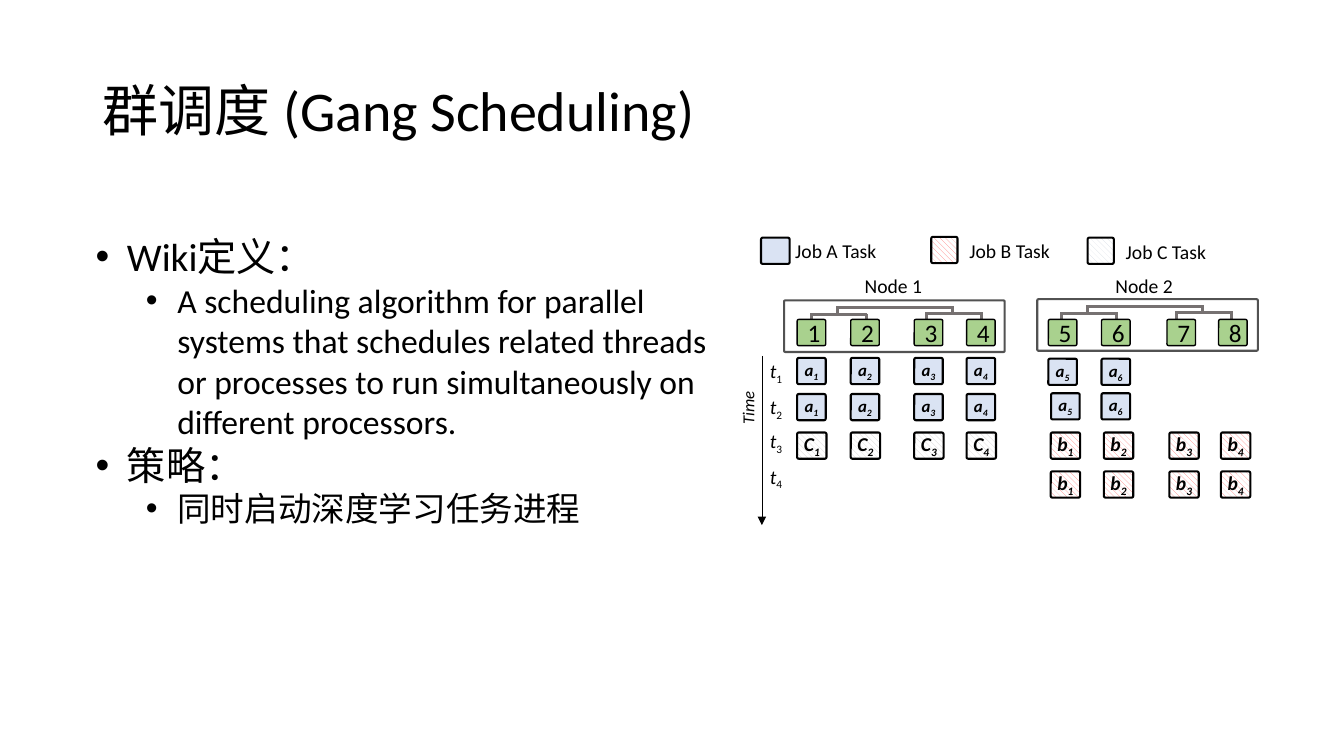
from dataclasses import dataclass

from lxml import etree
from pptx import Presentation
from pptx.dml.color import RGBColor
from pptx.enum.dml import MSO_PATTERN
from pptx.enum.shapes import MSO_CONNECTOR, MSO_SHAPE
from pptx.enum.text import MSO_ANCHOR, PP_ALIGN
from pptx.oxml.ns import qn
from pptx.util import Cm, Pt

ROUNDED = MSO_SHAPE.ROUNDED_RECTANGLE
STRAIGHT = MSO_CONNECTOR.STRAIGHT
STRIPES = MSO_PATTERN.WIDE_DOWNWARD_DIAGONAL
TOP, MIDDLE = MSO_ANCHOR.TOP, MSO_ANCHOR.MIDDLE
LEFT, CENTER = PP_ALIGN.LEFT, PP_ALIGN.CENTER


@dataclass(frozen=True)
class Theme:
    font: str = "Calibri"
    ink: RGBColor = RGBColor.from_string("000000")
    paper: RGBColor = RGBColor.from_string("FFFFFF")
    frame: RGBColor = RGBColor.from_string("525252")
    tree: RGBColor = RGBColor.from_string("767171")
    cpu: RGBColor = RGBColor.from_string("A9D18E")
    job_a: RGBColor = RGBColor.from_string("DAE3F3")
    job_b: RGBColor = RGBColor.from_string("FF8181")
    job_c: RGBColor = RGBColor.from_string("D0CECE")
    key_c: RGBColor = RGBColor.from_string("D6DCE5")
    title: int = 40
    topic: int = 28
    detail: int = 24
    number: int = 18
    label: int = 14
    small: int = 12


theme = Theme()


def write(box, text, size, sub="", bold=False, italic=False, sub_italic=False,
          align=LEFT, anchor=TOP, wrap=True, side=0.25, level=None, spacing=None):
    """Add a paragraph with an optional subscript; a level makes it a bullet."""
    frame = box.text_frame
    frame.word_wrap = wrap
    frame.vertical_anchor = anchor
    frame.margin_left = frame.margin_right = Cm(side)
    para = frame.add_paragraph() if frame.text else frame.paragraphs[0]
    para.alignment = align
    if spacing:
        para.line_spacing = spacing
    if level is not None:
        para.level = level
        props = para._p.get_or_add_pPr()
        props.set("marL", str(Cm(0.79 + 1.27 * level)))
        props.set("indent", str(Cm(-0.79)))
        etree.SubElement(props, qn("a:buFont")).set("typeface", "Arial")
        etree.SubElement(props, qn("a:buChar")).set("char", "•")
    for part, slanted in ((text, italic), (sub, sub_italic)):
        if not part:
            continue
        span = para.add_run()
        span.text = part
        span.font.name = theme.font
        span.font.size = Pt(size)
        span.font.bold = bold
        span.font.italic = slanted
        span.font.color.rgb = theme.ink
        if part is sub:
            span._r.get_or_add_rPr().set("baseline", "-25000")


deck = Presentation()
deck.slide_width, deck.slide_height = Cm(33.87), Cm(19.05)
page = deck.slides.add_slide(deck.slide_layouts[6])

# Title and bullets
title = page.shapes.add_textbox(Cm(2.34), Cm(1.02), Cm(29.21), Cm(3.68))
write(title, "群调度 (Gang Scheduling)", theme.title, anchor=MIDDLE, spacing=0.9)

body = page.shapes.add_textbox(Cm(2.16), Cm(5.74), Cm(16.23), Cm(9.32))
for level, text in (
    (0, "Wiki定义："),
    (1, "A scheduling algorithm for parallel systems that schedules related "
        "threads or processes to run simultaneously on different processors."),
    (0, "策略："),
    (1, "同时启动深度学习任务进程"),
):
    write(body, text, theme.detail if level else theme.topic, level=level)

# Node frames, each with the tree that joins its processors, and the time axis
lines = []
for frame_x, frame_y, tree_x, tree_y in ((19.76, 7.57, 20.42, 7.75),
                                         (26.14, 7.54, 26.72, 7.72)):
    frame = page.shapes.add_shape(ROUNDED, Cm(frame_x), Cm(frame_y), Cm(5.56), Cm(1.3))
    frame.adjustments[0] = 0.025
    frame.shadow.inherit = False
    frame.fill.background()
    frame.line.color.rgb = theme.frame
    frame.line.width = Pt(1.5)

    tree = page.shapes.add_group_shape()
    branches = [(tree_x + 0.66, tree_y, tree_x + 3.63, tree_y)]
    for x, y in ((tree_x, tree_y), (tree_x + 2.9, tree_y - 0.03)):
        branches += [
            (x + 0.69, y, x + 0.69, y + 0.18),
            (x, y + 0.18, x + 1.44, y + 0.18),
            (x + 0.02, y + 0.15, x + 0.02, y + 0.36),
            (x + 1.42, y + 0.15, x + 1.42, y + 0.36),
        ]
    lines += [(tree, ends, theme.tree, 2.25, False) for ends in branches]
lines.append((page, (19.2, 8.97, 19.2, 13.23), theme.ink, 0.5, True))

for owner, ends, color, width, arrow in lines:
    line = owner.shapes.add_connector(STRAIGHT, *(Cm(end) for end in ends))
    line.line.color.rgb = color
    line.line.width = Pt(width)
    if arrow:
        etree.SubElement(line.line._get_or_add_ln(), qn("a:tailEnd")).set("type", "triangle")
    etree.SubElement(line._element.spPr, qn("a:effectLst"))

# Legend, node names and time labels
for x, y, width, text, sub, wrap in (
    (19.79, 5.89, 5.16, "Job A Task", "", True),
    (24.18, 5.89, 2.57, "Job B Task", "", True),
    (28.12, 5.92, 2.92, "Job C Task", "", True),
    (21.54, 6.78, 1.98, "Node 1", "", False),
    (27.86, 6.78, 1.98, "Node 2", "", False),
    (19.15, 8.92, 0.86, "t", "1", False),
    (19.15, 9.83, 0.86, "t", "2", False),
    (19.15, 10.69, 0.86, "t", "3", False),
    (19.15, 11.58, 0.86, "t", "4", False),
):
    label = page.shapes.add_textbox(Cm(x), Cm(y), Cm(width), Cm(0.86))
    write(label, text, theme.label, sub=sub, italic=bool(sub), wrap=wrap)

time = page.shapes.add_textbox(Cm(18.16), Cm(9.88), Cm(1.37), Cm(0.76))
time.rotation = 270
write(time, "Time", theme.small, italic=True)

# Tiles: legend keys, processors, then tasks by time step
node_1 = (20.09, 21.44, 23.04, 24.36)
node_2 = (26.42, 27.76, 29.41, 30.71)
shifted = [x + 0.06 for x in node_2]
tiles = [
    (19.18, 5.99, 0.72, theme.job_a, "", ""),
    (23.47, 5.97, 0.66, theme.job_b, "", ""),
    (27.41, 5.99, 0.66, theme.key_c, "", ""),
]
for columns, y, width, color, letter, first in (
    (node_1, 8.05, 0.72, theme.cpu, "", 1),
    (node_2, 8.05, 0.72, theme.cpu, "", 5),
    (node_1, 9.02, 0.72, theme.job_a, "a", 1),
    (node_2[:2], 9.04, 0.72, theme.job_a, "a", 5),
    (node_1, 9.93, 0.72, theme.job_a, "a", 1),
    ((26.49, 27.76), 9.91, 0.72, theme.job_a, "a", 5),
    (node_1, 10.9, 0.74, theme.job_c, "C", 1),
    (shifted, 10.9, 0.74, theme.job_b, "b", 1),
    (shifted, 11.88, 0.74, theme.job_b, "b", 1),
):
    for number, x in enumerate(columns, first):
        tiles.append((x, y, width, color, letter, str(number)))

for x, y, width, color, letter, number in tiles:
    tile = page.shapes.add_shape(ROUNDED, Cm(x), Cm(y), Cm(width), Cm(0.66))
    tile.adjustments[0] = 0.063
    tile.shadow.inherit = False
    if color in (theme.cpu, theme.job_a):
        tile.fill.solid()
        tile.fill.fore_color.rgb = color
    else:
        tile.fill.patterned()
        tile.fill.pattern = STRIPES
        tile.fill.fore_color.rgb = color
        tile.fill.back_color.rgb = theme.paper
    tile.line.color.rgb = theme.ink
    tile.line.width = Pt(1 if color == theme.cpu else 1.5)
    if letter:
        size = theme.small if letter == "a" else theme.label
        write(tile, letter, size, sub=number, bold=True, italic=True, sub_italic=True,
              align=CENTER, anchor=MIDDLE, side=0.03)
    elif number:
        write(tile, number, theme.number, align=CENTER, anchor=MIDDLE)

deck.save("out.pptx")
